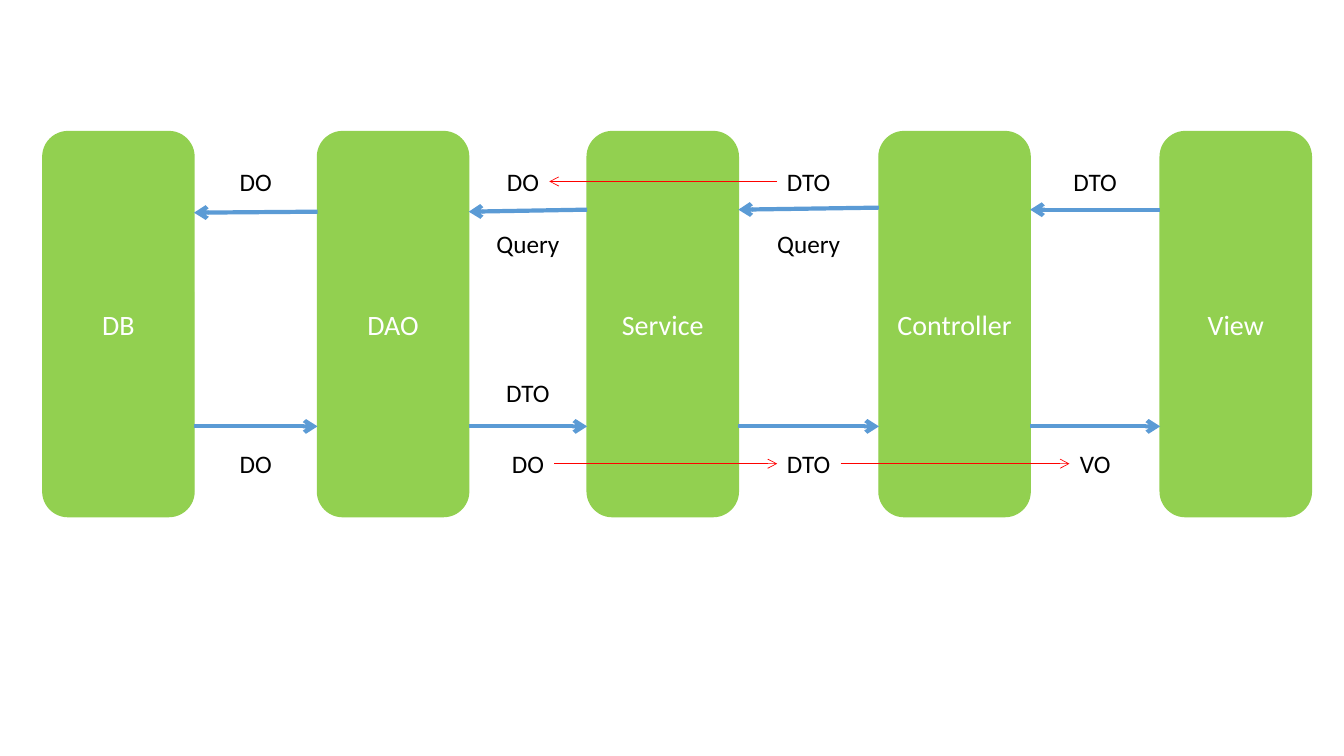
"""Data objects passed between the layers of a web application."""
from typing import NamedTuple

from lxml import etree
from pptx import Presentation
from pptx import util as u
from pptx.dml.color import RGBColor
from pptx.enum import shapes, text
from pptx.oxml.ns import qn

GREEN = RGBColor(0x92, 0xD0, 0x50)
BLUE = RGBColor(0x5B, 0x9B, 0xD5)
RED = RGBColor(0xFF, 0x00, 0x00)
WHITE = RGBColor(0xFF, 0xFF, 0xFF)
BLACK = RGBColor(0x00, 0x00, 0x00)
FONT = "Calibri"

COLS, ROWS = 133.33, 75
CELL = u.Inches(0.1)
LAYER_TOP, LAYER_W, LAYER_H = 13.05, 15, 38.2
LABEL_H = 4
LABEL_W = {"DO": 5.3, "DTO": 6.4, "VO": 5.2, "Query": 8.4}
REQUEST_ROW, QUERY_ROW, RESULT_ROW, REPLY_ROW = 16, 22.2, 36.95, 43.95


class Layer(NamedTuple):
    name: str
    col: float


class Label(NamedTuple):
    word: str
    gap: int
    row: float
    shift: float = 0


class Arrow(NamedTuple):
    x1: float
    y1: float
    x2: float
    y2: float
    color: RGBColor
    weight: float


LAYERS = [Layer("DB", 4.25), Layer("DAO", 31.5), Layer("Service", 58.25),
          Layer("Controller", 87.2), Layer("View", 115.1)]
GAPS = [(a.col + LAYER_W, b.col) for a, b in zip(LAYERS, LAYERS[1:])]

LABELS = [
    Label("DO", 0, REQUEST_ROW), Label("DO", 1, REQUEST_ROW, -0.5),
    Label("DTO", 2, REQUEST_ROW), Label("DTO", 3, REQUEST_ROW),
    Label("Query", 1, QUERY_ROW), Label("Query", 2, QUERY_ROW),
    Label("DTO", 1, RESULT_ROW),
    Label("DO", 0, REPLY_ROW), Label("DO", 1, REPLY_ROW),
    Label("DTO", 2, REPLY_ROW), Label("VO", 3, REPLY_ROW),
]
REQUEST_LEVELS = [(21, 21.1), (20.8, 21), (20.6, 20.8), (20.8, 20.8)]
REPLY_LEVEL = 42.3
CONVERSIONS = [(77.1, 54.5, 18), (55, 77.1, 46), (83.4, 106.1, 46)]

ARROWS = [
    *(Arrow(right, y1, left, y2, BLUE, 3)
      for (left, right), (y1, y2) in zip(GAPS, REQUEST_LEVELS)),
    *(Arrow(left, REPLY_LEVEL, right, REPLY_LEVEL, BLUE, 3) for left, right in GAPS),
    *(Arrow(x1, y, x2, y, RED, 0.5) for x1, x2, y in CONVERSIONS),
]


def grid(*cells: float) -> list[int]:
    """Turn grid cells into slide lengths."""
    return [round(c * CELL) for c in cells]


def add_run(p, words: str, size: int, color: RGBColor) -> None:
    """Append one formatted run to a paragraph."""
    r = p.add_run()
    r.text = words
    r.font.name = FONT
    r.font.size = u.Pt(size)
    r.font.color.rgb = color


def draw_layer(s, layer: Layer) -> None:
    """Draw a layer as a rounded column with a centred name."""
    sp = s.shapes.add_shape(shapes.MSO_SHAPE.ROUNDED_RECTANGLE,
                            *grid(layer.col, LAYER_TOP, LAYER_W, LAYER_H))
    sp.shadow.inherit = False
    sp.fill.solid()
    sp.fill.fore_color.rgb = GREEN
    sp.line.color.rgb = GREEN
    sp.line.width = u.Pt(1)
    tf = sp.text_frame
    tf.vertical_anchor = text.MSO_ANCHOR.MIDDLE
    p = tf.paragraphs[0]
    p.alignment = text.PP_ALIGN.CENTER
    add_run(p, layer.name, 20, WHITE)


def draw_label(s, label: Label) -> None:
    """Draw a label centred in the gap between two layers."""
    width = LABEL_W[label.word]
    col = sum(GAPS[label.gap]) / 2 + label.shift - width / 2
    tf = s.shapes.add_textbox(*grid(col, label.row, width, LABEL_H)).text_frame
    tf.word_wrap = False
    tf.auto_size = text.MSO_AUTO_SIZE.SHAPE_TO_FIT_TEXT
    p = tf.paragraphs[0]
    p.alignment = text.PP_ALIGN.CENTER
    add_run(p, label.word, 18, BLACK)


def draw_arrow(s, arrow: Arrow) -> None:
    """Draw a straight connector with an open arrowhead at its end."""
    cx = s.shapes.add_connector(shapes.MSO_CONNECTOR.STRAIGHT, *grid(*arrow[:4]))
    cx.line.color.rgb = arrow.color
    cx.line.width = u.Pt(arrow.weight)
    etree.SubElement(cx.line._get_or_add_ln(), qn("a:tailEnd"), type="arrow")
    etree.SubElement(cx._element.spPr, qn("a:effectLst"))


def main() -> None:
    """Build and save the slide."""
    prs = Presentation()
    prs.slide_width, prs.slide_height = grid(COLS, ROWS)
    s = prs.slides.add_slide(prs.slide_layouts[6])
    for layer in LAYERS:
        draw_layer(s, layer)
    for label in LABELS:
        draw_label(s, label)
    for arrow in ARROWS:
        draw_arrow(s, arrow)
    prs.save("out.pptx")


main()
